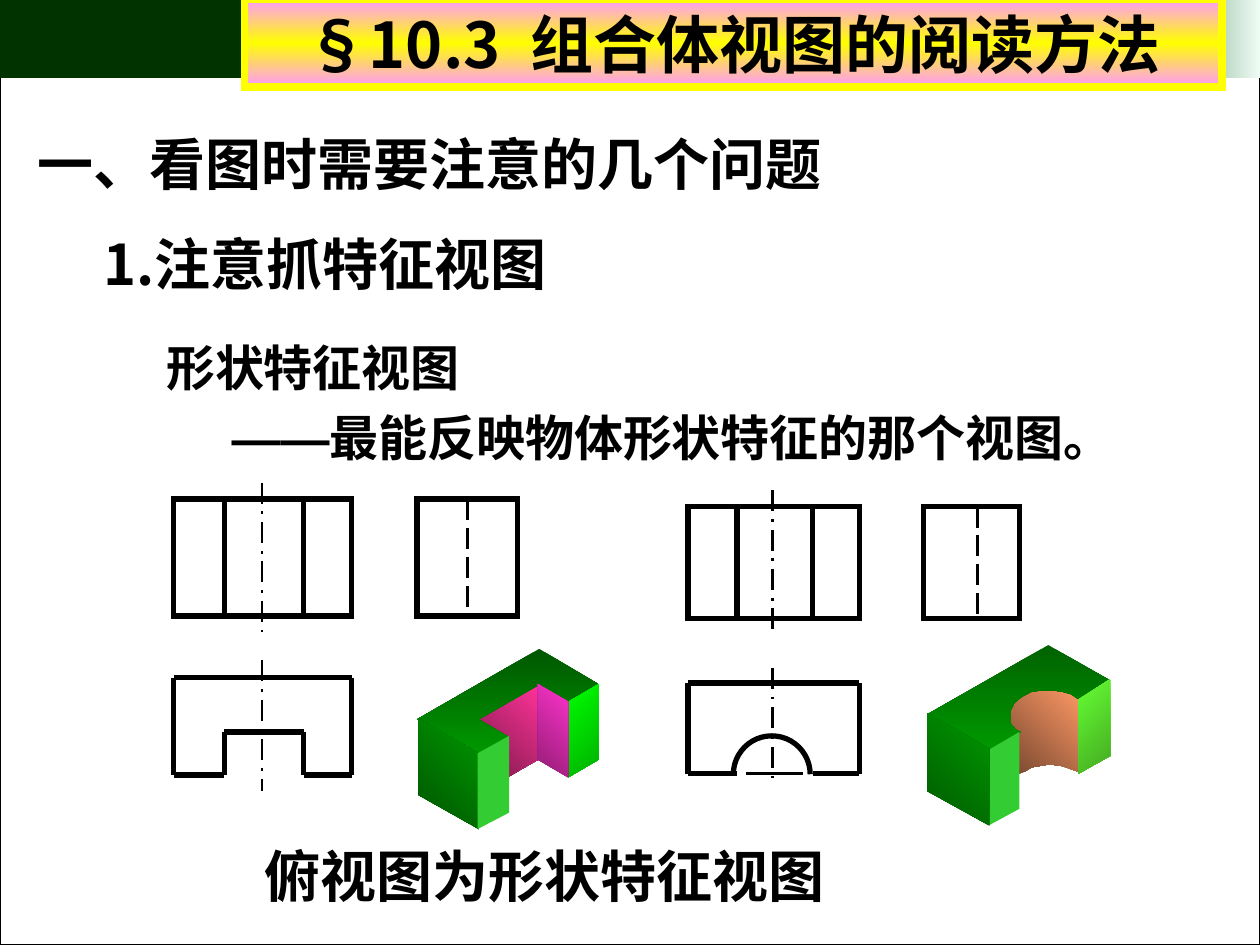
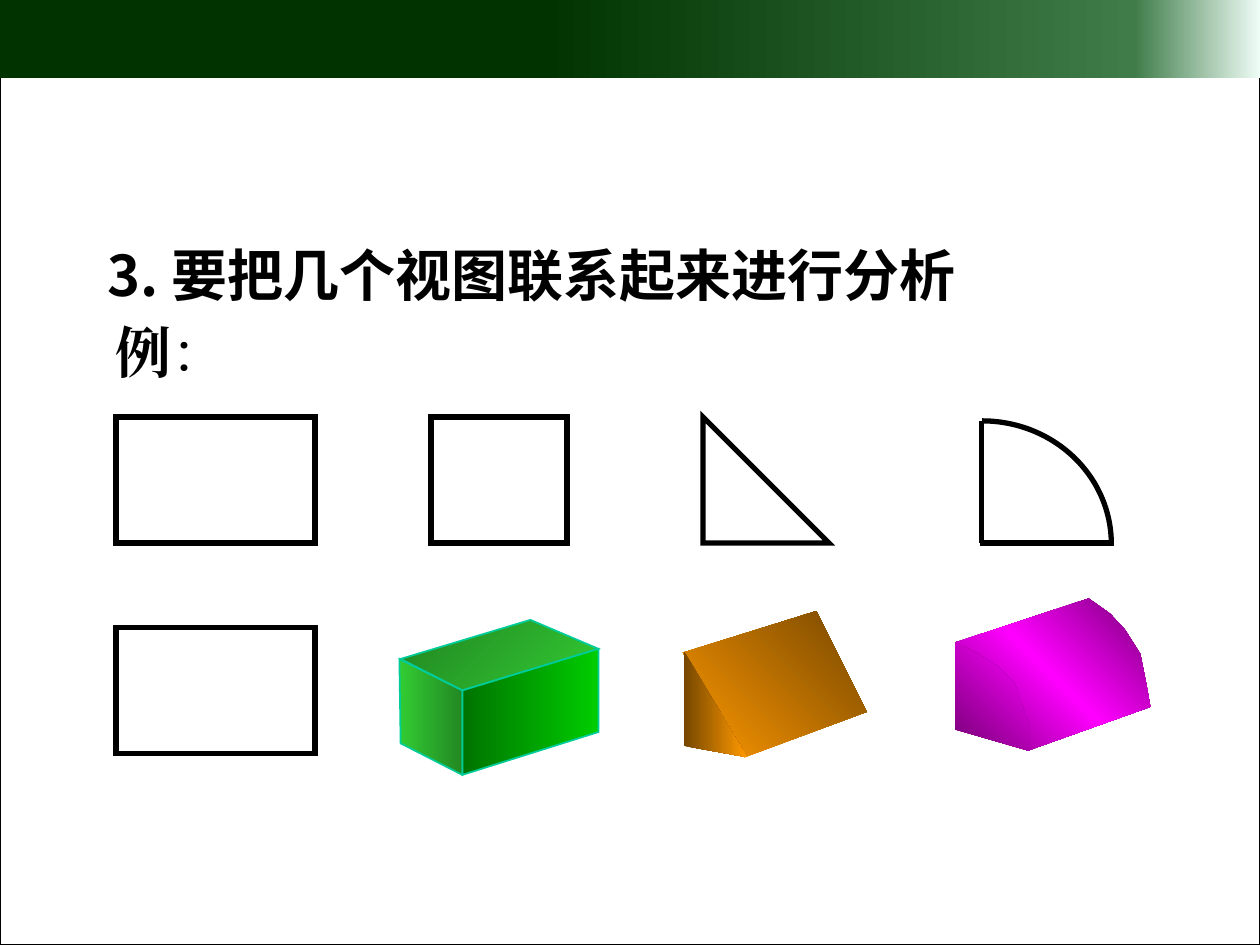
from dataclasses import dataclass

from lxml import etree
from pptx import Presentation
from pptx import util as u
from pptx.dml.color import RGBColor
from pptx.enum import dml, shapes, text
from pptx.oxml.ns import qn


@dataclass(frozen=True)
class Theme:
    sans: str = "Noto Sans CJK SC"
    latin: str = "Arial"
    serif: str = "Times New Roman"
    ink: str = "000000"
    edge: str = "00CC99"
    yellow: str = "FFFF00"
    banner: int = 36
    heading: int = 32
    body: int = 28
    outline: float = 3
    thin: float = 1.5
    frame: float = 0.75


THEME = Theme()
WIDTH, HEIGHT = 10, 7.5
FORM, KIND = shapes.MSO_SHAPE, dml.MSO_LINE


def blend(angle, *colors):
    last = len(colors) - 1
    return angle, [(100 * i / last, color) for i, color in enumerate(colors)]


BAND_FILL = (0, [(43, "003300"), (90, "3F7C49"), (100, "EEFCF6")])
BANNER_FILL = blend(90, "FF99FF", THEME.yellow, "FF99FF")

BANNER = dict(at=(1.94, -0.01, 7.76, 0.7), size=THEME.banner, center=True,
              runs=[dict(words="§10.3"), dict(words=" ", spacing=9),
                    dict(words="组合体视图的阅读方法")])
READING_TEXTS = [
    dict(at=(0.2, 0.98, 7.14, 0.63), runs=[dict(words="一、看图时需要注意的几个问题")]),
    dict(at=(0.72, 1.77, 4.74, 0.63), runs=[dict(words="1.注意抓特征视图")]),
    dict(at=(1.22, 2.63, 2.82, 0.57), size=THEME.body, runs=[dict(words="形状特征视图")]),
    dict(at=(1.74, 3.18, 7.4, 0.57), size=THEME.body,
         runs=[dict(words="——", font=THEME.latin),
               dict(words="最能反映物体形状特征的那个视图。")]),
    dict(at=(2, 6.63, 5.12, 0.63), runs=[dict(words="俯视图为形状特征视图")]),
]
ANALYSIS_TITLE = dict(at=(0.75, 1.86, 7.73, 0.63),
                      runs=[dict(words="3. 要把几个视图联系起来进行分析")])
EXAMPLE = dict(at=(0.82, 2.47, 1.3, 0.63),
               runs=[dict(words="例", font=THEME.serif),
                     dict(words="：", font=THEME.serif, bold=False)])

PARTS = [
    dict(sides=(1.38, 2.79), slot=(1.78, 2.41), axis=2.08, front=(3.96, 4.89),
         plan=(5.38, 6.15), axes=[(3.83, 5.02), (5.24, 6.28)],
         profile=(3.31, 4.11), hidden=None, slot_top=5.81),
    dict(sides=(5.46, 6.82), slot=(5.85, 6.45), axis=6.13, front=(4.02, 4.91),
         plan=(5.42, 6.14), axes=[(3.89, 5.04), (5.3, 6.22)],
         profile=(7.33, 8.09), hidden=7.76, arch=(5.82, 5.84, 0.61, 0.61),
         chord=(5.92, 6.37)),
]

SQUARE_SLOT = [
    (blend(315, "761847", "FF3399"),
     [(3.77, 5.7), (4.27, 5.43), (4.27, 6.03), (4.01, 6.18), (4.02, 5.85)]),
    (blend(90, "005700", "009900"),
     [(3.31, 5.71), (3.8, 5.99), (4.04, 5.85), (3.8, 5.71), (4.27, 5.44),
      (4.51, 5.58), (4.75, 5.43), (4.28, 5.15)]),
    (blend(315, "005400", "009900"),
     [(3.32, 5.7), (3.32, 6.31), (3.8, 6.58), (3.8, 5.98)]),
    ("33CC33", [(3.79, 5.98), (3.79, 6.58), (4.04, 6.45), (4.04, 5.84)]),
    (blend(45, "00FF00", "00AF00"),
     [(4.51, 5.57), (4.51, 6.17), (4.75, 6.03), (4.75, 5.43)]),
    (blend(315, "911D74", "FF33CC"),
     [(4.27, 5.43), (4.27, 6.03), (4.51, 6.17), (4.51, 5.57)]),
]
ROUND_SLOT = [
    (blend(315, "76472F", "FF9966"),
     [(8.09, 5.82), (8.04, 5.78), (8.01, 5.73), (8, 5.61), (8.04, 5.55),
      (8.13, 5.49), (8.22, 5.46), (8.38, 5.45), (8.51, 5.49), (8.57, 5.52),
      (8.57, 6.13), (8.49, 6.1), (8.43, 6.08), (8.36, 6.07), (8.31, 6.07),
      (8.25, 6.08), (8.19, 6.09), (8.14, 6.12), (8.09, 6.14)]),
    (blend(90, "006300", "009900"),
     [(7.84, 5.96), (8.1, 5.81), (8.06, 5.79), (8.02, 5.74), (8.02, 5.64),
      (8.05, 5.58), (8.11, 5.53), (8.19, 5.49), (8.27, 5.48), (8.35, 5.48),
      (8.43, 5.49), (8.5, 5.51), (8.56, 5.55), (8.81, 5.4), (8.32, 5.12),
      (7.36, 5.67)]),
    ("33CC33", [(7.85, 5.95), (7.85, 6.55), (8.09, 6.42), (8.09, 5.81)]),
    (blend(315, "005A00", "009900"),
     [(7.36, 5.66), (7.36, 6.28), (7.85, 6.55), (7.85, 5.94)]),
    (blend(45, "66FF33", "44AA22"),
     [(8.81, 5.39), (8.81, 6), (8.56, 6.14), (8.56, 5.55)]),
]
BLOCK = [
    (blend(45, "218421", "33CC33"),
     [(3.18, 5.23), (4.21, 4.92), (4.75, 5.15), (3.67, 5.48)]),
    (blend(0, "33CC33", "228822"),
     [(3.17, 5.23), (3.18, 5.9), (3.67, 6.15), (3.67, 5.48)]),
    (blend(0, "007400", "00CC00"),
     [(3.67, 5.48), (3.67, 6.15), (4.75, 5.81), (4.75, 5.15)]),
]
WEDGE = [
    (blend(315, "FF9900", "764700"),
     [(5.42, 5.18), (6.48, 4.85), (6.88, 5.65), (5.91, 6.01)]),
    (blend(0, "764700", "FF9900"), [(5.43, 5.17), (5.43, 5.92), (5.93, 6.01)]),
]
QUARTER_ROUND = [
    (blend(315, "760076", "FF00FF", "760076"),
     [(7.58, 5.1), (7.76, 5.19), (7.88, 5.29), (7.98, 5.41), (8.07, 5.58),
      (8.15, 5.79), (8.15, 5.96), (9.13, 5.61), (9.1, 5.44), (9.05, 5.19),
      (8.93, 5), (8.81, 4.87), (8.64, 4.75)]),
    (blend(315, "760076", "FF00FF"),
     [(7.58, 5.1), (7.78, 5.2), (7.93, 5.3), (8.05, 5.42), (8.12, 5.62),
      (8.17, 5.76), (8.17, 5.96), (7.58, 5.79)]),
]

ROWS, VIEW_HEIGHT = (3.31, 4.98), 1
VIEWS = [
    (FORM.RECTANGLE, 0.92, ROWS[0], 1.58),
    (FORM.RECTANGLE, 0.92, ROWS[1], 1.58),
    (FORM.RECTANGLE, 3.42, ROWS[0], 1.08),
    (FORM.RIGHT_TRIANGLE, 5.58, ROWS[0], 1),
]
QUARTER_ARC = (6.77, 3.34, 2.05, 1.95)
QUARTER_LINES = [(7.79, 3.34, 7.79, 4.31), (7.78, 4.31, 8.84, 4.31)]


def inches(values):
    return [u.Inches(value) for value in values]


def paint(shape, fill):
    if fill is None:
        shape.fill.background()
    elif isinstance(fill, str):
        shape.fill.solid()
        shape.fill.fore_color.rgb = RGBColor.from_string(fill)
    else:
        angle, stops = fill
        shape.fill.gradient()
        gradient = shape.element.spPr.find(qn("a:gradFill"))
        for child in list(gradient):
            gradient.remove(child)
        series = etree.SubElement(gradient, qn("a:gsLst"))
        for position, color in stops:
            stop = etree.SubElement(series, qn("a:gs"), pos=str(int(position * 1000)))
            etree.SubElement(stop, qn("a:srgbClr"), val=color)
        etree.SubElement(gradient, qn("a:lin"), ang=str(angle * 60000), scaled="0")


def stroke(shape, width, color=THEME.ink, dash=None):
    line = shape.line
    if not width:
        line.fill.background()
        return
    line.width = u.Pt(width)
    line.color.rgb = RGBColor.from_string(color)
    if dash:
        line.dash_style = dash
    etree.SubElement(shape.element.spPr.find(qn("a:ln")), qn("a:miter"), lim="800000")


def draw_shape(page, form, at, fill=None, width=THEME.outline):
    shape = page.shapes.add_shape(form, *inches(at))
    shape.shadow.inherit = False
    paint(shape, fill)
    stroke(shape, width)
    return shape


def draw_line(page, ends, width=THEME.outline, dash=None):
    line = page.shapes.add_connector(shapes.MSO_CONNECTOR.STRAIGHT, *inches(ends))
    stroke(line, width, dash=dash)
    etree.SubElement(line.element.spPr, qn("a:effectLst"))
    return line


def draw_solid(page, faces, width=0):
    for fill, points in faces:
        corners = [(round(x * 100), round(y * 100)) for x, y in points]
        builder = page.shapes.build_freeform(*corners[0], scale=9144)
        builder.add_line_segments(corners[1:], close=True)
        face = builder.convert_to_shape()
        face.shadow.inherit = False
        paint(face, fill)
        stroke(face, width, THEME.edge)


def write(box, content):
    for side, value in zip(("left", "top", "width", "height"), inches(content["at"])):
        setattr(box, side, value)
    frame = box.text_frame
    settings = dict(word_wrap=True, auto_size=text.MSO_AUTO_SIZE.NONE,
                    vertical_anchor=text.MSO_ANCHOR.MIDDLE)
    for name, value in settings.items():
        setattr(frame, name, value)
    para = frame.paragraphs[0]
    para.alignment = text.PP_ALIGN.CENTER if content.get("center") else text.PP_ALIGN.LEFT
    for run in content["runs"]:
        span = para.add_run()
        span.text = run["words"]
        family = run.get("font", THEME.sans)
        formats = dict(name=family, bold=run.get("bold", True),
                       size=u.Pt(content.get("size", THEME.heading)))
        for name, value in formats.items():
            setattr(span.font, name, value)
        span.font.color.rgb = RGBColor.from_string(THEME.ink)
        properties = span.font._element
        etree.SubElement(properties, qn("a:ea"), typeface=family)
        if "spacing" in run:
            properties.set("spc", str(run["spacing"] * 100))


def add_text(page, content):
    write(page.shapes.add_textbox(*inches(content["at"])), content)


def draw_views(page, part):
    left, right = part["sides"]
    top, bottom = part["front"]
    back, front = part["plan"]
    start, end = part["slot"]
    near, far = part["profile"]
    height = bottom - top
    draw_shape(page, FORM.RECTANGLE, (left, top, right - left, height))
    profile = draw_shape(page, FORM.RECTANGLE, (near, top, far - near, height))
    middle = part["hidden"] or (near + far) / 2
    hidden = draw_line(page, (middle, top, middle, bottom), THEME.thin, KIND.LONG_DASH)
    if part["hidden"] is None:
        hidden.begin_connect(profile, 0)
        hidden.end_connect(profile, 2)
    for x in part["slot"]:
        draw_line(page, (x, top, x, bottom))
    for x in part["sides"]:
        draw_line(page, (x, back, x, front))
    for ends in [(left, back, right, back), (left, front, start, front),
                 (end, front, right, front)]:
        draw_line(page, ends)
    for high, low in part["axes"]:
        draw_line(page, (part["axis"], high, part["axis"], low),
                  THEME.thin, KIND.LONG_DASH_DOT)
    if "arch" in part:
        arch = draw_shape(page, FORM.ARC, part["arch"])
        arch.adjustments[0], arch.adjustments[1] = 108, 0
        first, last = part["chord"]
        draw_line(page, (first, front, last, front), THEME.thin)
    else:
        ceiling = part["slot_top"]
        draw_line(page, (start, ceiling, end, ceiling))
        for x in part["slot"]:
            draw_line(page, (x, ceiling, x, front))


def decorate(layout, page):
    frame = draw_shape(page, FORM.RECTANGLE, (0, 0, WIDTH, HEIGHT), width=THEME.frame)
    band = draw_shape(page, FORM.RECTANGLE, (0, 0, WIDTH, 0.62), BAND_FILL, 0)
    for i, shape in enumerate((frame, band)):
        shape.element.nvSpPr.cNvPr.set("id", str(100 + i))
        layout.shapes.element.insert(2 + i, shape.element)


def build_reading(page):
    title = page.shapes.title
    write(title, BANNER)
    paint(title, BANNER_FILL)
    stroke(title, 4.5, THEME.yellow)
    for content in READING_TEXTS:
        add_text(page, content)
    for part in PARTS:
        draw_views(page, part)
    for faces in (SQUARE_SLOT, ROUND_SLOT):
        draw_solid(page, faces)


def build_analysis(page):
    write(page.shapes.title, ANALYSIS_TITLE)
    add_text(page, EXAMPLE)
    for form, left, top, width in VIEWS:
        draw_shape(page, form, (left, top, width, VIEW_HEIGHT))
    draw_shape(page, FORM.ARC, QUARTER_ARC)
    for ends in QUARTER_LINES:
        draw_line(page, ends)
    draw_solid(page, BLOCK, 1)
    for faces in (WEDGE, QUARTER_ROUND):
        draw_solid(page, faces)


def main():
    deck = Presentation()
    deck.slide_width, deck.slide_height = inches((WIDTH, HEIGHT))
    layout = deck.slide_layouts[5]
    pages = [deck.slides.add_slide(layout) for _ in range(2)]
    decorate(layout, pages[0])
    for build, page in zip((build_reading, build_analysis), pages):
        build(page)
    deck.save("out.pptx")


if __name__ == "__main__":
    main()
